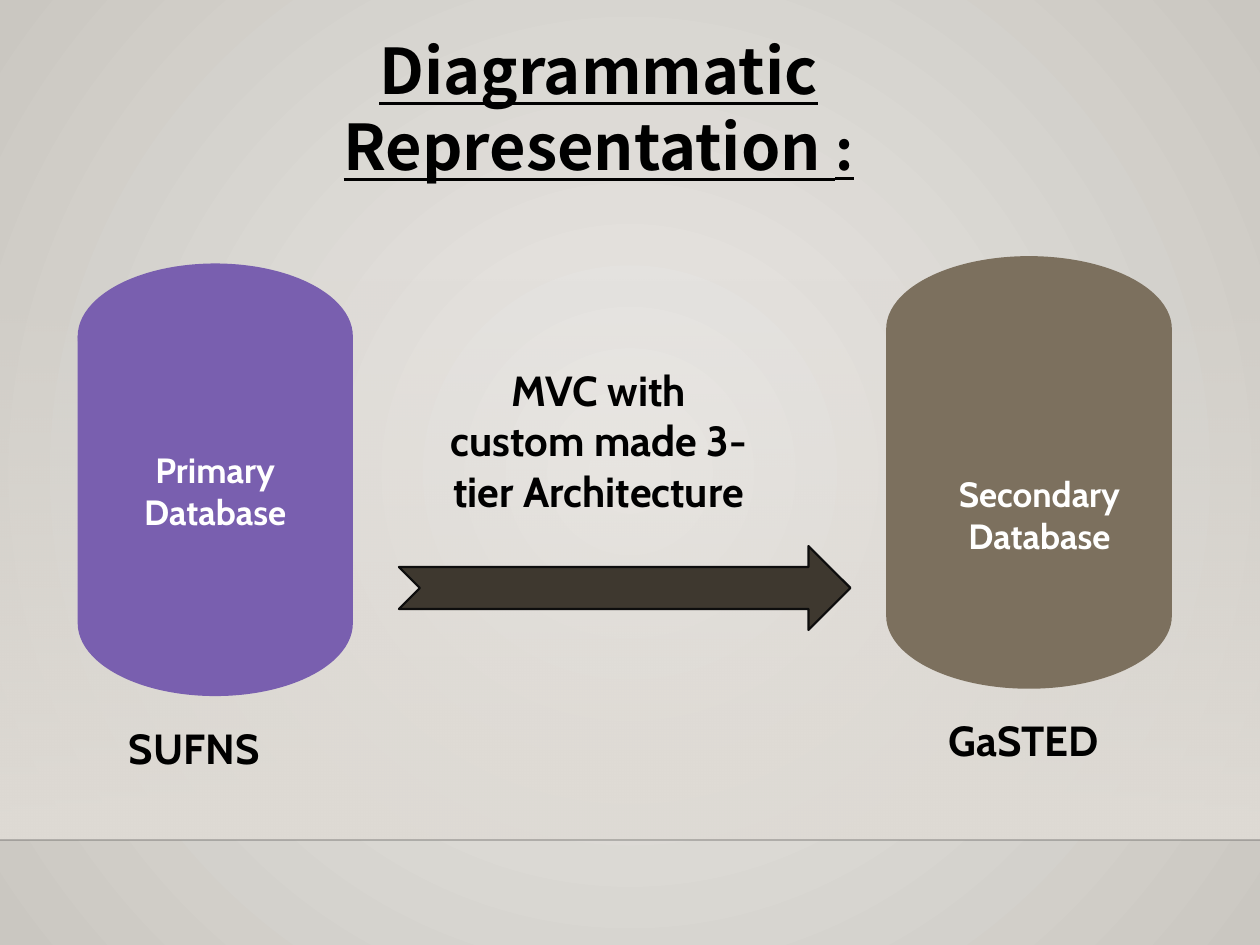
from lxml import etree
from pptx import Presentation
from pptx import util as u
from pptx.dml.color import RGBColor
from pptx.enum import shapes, text
from pptx.oxml import ns

BLACK = RGBColor(0x00, 0x00, 0x00)
WHITE = RGBColor(0xFF, 0xFF, 0xFF)
PURPLE = RGBColor(0x79, 0x5F, 0xAF)
TAUPE = RGBColor(0x7C, 0x70, 0x5E)
BROWN = RGBColor(0x3E, 0x38, 0x2F)
INK = RGBColor(0x0D, 0x0D, 0x0D)
HORIZON = RGBColor(0x00, 0x00, 0x01)
GLOW = RGBColor(0xEC, 0xEA, 0xE7)
EDGE = RGBColor(0xCA, 0xC7, 0xC1)
HAZE = RGBColor(0xDF, 0xDB, 0xD5)

COLUMNS, ROWS = 240, 180
FLOOR = 160

deck = Presentation()
deck.slide_width, deck.slide_height = u.Inches(10), u.Inches(7.5)
slide = deck.slides.add_slide(deck.slide_layouts[6])


def cells(*lengths):
    units = (deck.slide_width / COLUMNS, deck.slide_height / ROWS)
    return [u.Emu(round(n * units[i % 2])) for i, n in enumerate(lengths)]


def add_child(parent, tag, **attributes):
    return etree.SubElement(parent, ns.qn(tag), attributes)


def set_stops(fill, *colors):
    for stop, color in zip(fill.gradient_stops, colors):
        stop.color.rgb = color


def draw(kind, box, color, outline):
    figure = slide.shapes.add_shape(kind, *cells(*box))
    figure.shadow.inherit = False
    figure.fill.solid()
    figure.fill.fore_color.rgb = color
    figure.line.color.rgb = outline
    figure.line.width = u.Pt(1.25)


def write(wording, box, size, color=BLACK, font="Cabin"):
    frame = slide.shapes.add_textbox(*cells(*box)).text_frame
    frame.word_wrap = True
    frame.auto_size = text.MSO_AUTO_SIZE.SHAPE_TO_FIT_TEXT
    line = frame.paragraphs[0]
    line.text = wording
    line.alignment = text.PP_ALIGN.CENTER
    line.font.name = font
    line.font.size = u.Pt(size)
    line.font.bold = True
    line.font.color.rgb = color
    return line


def backdrop():
    sky = slide.background.fill
    sky.gradient()
    set_stops(sky, GLOW, EDGE)
    gradient = slide.element.find(".//" + ns.qn("a:gradFill"))
    gradient.remove(gradient.find(ns.qn("a:lin")))
    circle = add_child(gradient, "a:path", path="circle")
    add_child(circle, "a:fillToRect", l="50000", t="50000", r="50000", b="50000")

    haze = slide.shapes.add_shape(
        shapes.MSO_SHAPE.RECTANGLE, *cells(0, 53, COLUMNS, FLOOR - 53))
    haze.shadow.inherit = False
    haze.line.fill.background()
    haze.fill.gradient()
    haze.fill.gradient_angle = 270
    set_stops(haze.fill, HAZE, HAZE)
    add_child(haze.element.find(".//" + ns.qn("a:srgbClr")), "a:alpha", val="0")

    horizon = slide.shapes.add_connector(
        shapes.MSO_CONNECTOR.STRAIGHT, *cells(0, FLOOR, COLUMNS, FLOOR))
    horizon.line.color.rgb = HORIZON
    horizon.line.width = u.Pt(1)
    add_child(horizon.element.find(".//" + ns.qn("a:srgbClr")), "a:alpha", val="20000")
    add_child(horizon.element.spPr, "a:effectLst")


def heading(box):
    title = write("Diagrammatic Representation ", box, 36, font="Noto Sans CJK KR")
    title.font.underline = True
    colon = title.add_run()
    colon.text = ":"
    colon.font.size = u.Pt(32)


def database(box, color, role, role_box, system):
    left, top, width, height = box
    draw(shapes.MSO_SHAPE.FLOWCHART_MAGNETIC_DISK, box, color, color)
    dx, dy, role_width = role_box
    write(role, (left + dx, top + dy, role_width, 18.5), 20, WHITE)
    write(system, (left + width / 2 - 30 + (dx - 2) * 1.5 - 4, top + height + 4, 60, 12), 24)


def transfer(box, method):
    left, top, width, height = box
    write(method, (left + 6, top, 64, 41), 24)
    draw(shapes.MSO_SHAPE.NOTCHED_RIGHT_ARROW,
         (left, top + height - 16, width, 16), BROWN, INK)


backdrop()
database((169, 49, 54, 82), TAUPE, "Secondary Database", (4, 39.8, 50), "GaSTED")
database((15, 50.4, 52, 82), PURPLE, "Primary Database", (2, 33.8, 48), "SUFNS")
transfer((76, 68.2, 86, 51.8), "MVC with custom made 3-tier Architecture")
heading((21, 4.8, 186, 17))
deck.save("out.pptx")
